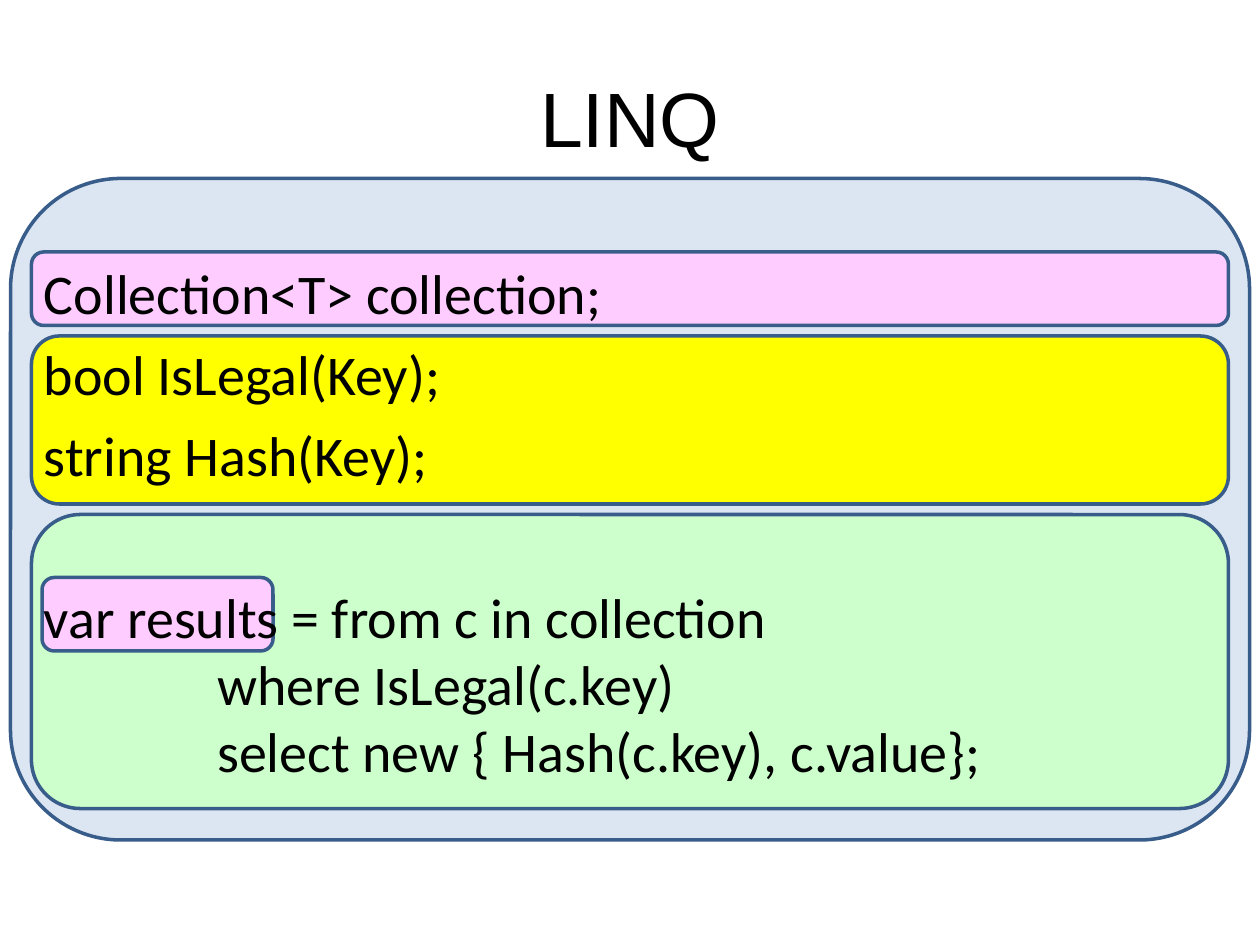
from dataclasses import dataclass

from lxml import etree
from pptx import Presentation
from pptx import util as u
from pptx.dml.color import RGBColor
from pptx.enum import shapes, text
from pptx.oxml import ns

PX = 7620


@dataclass(frozen=True)
class Theme:
    panel: str = "DCE6F2"
    data: str = "FFCCFF"
    functions: str = "FFFF00"
    query: str = "CCFFCC"
    outline: str = "385D8A"
    ink: str = "000000"
    title_font: str = "Arial"
    code_font: str = "Calibri"
    title_size: int = 44
    code_size: int = 32


class SlideBuilder:
    def __init__(self, slide, theme):
        self.slide = slide
        self.theme = theme

    def apply(self, target, **values):
        for name, value in values.items():
            setattr(target, name, value)

    def place(self, shape, left, top, width, height):
        self.apply(shape, left=left * PX, top=top * PX,
                   width=width * PX, height=height * PX)

    def style(self, paragraph, font, size):
        for run in paragraph.runs:
            self.apply(run.font, name=font, size=u.Pt(size))
            run.font.color.rgb = RGBColor.from_string(self.theme.ink)

    def title(self, wording, *box):
        shape = self.slide.shapes.title
        self.place(shape, *box)
        frame = shape.text_frame
        self.apply(frame, text=wording, vertical_anchor=text.MSO_ANCHOR.MIDDLE)
        paragraph = frame.paragraphs[0]
        paragraph.alignment = text.PP_ALIGN.CENTER
        self.style(paragraph, self.theme.title_font, self.theme.title_size)

    def panel(self, color, *box):
        shape = self.slide.shapes.add_shape(
            shapes.MSO_SHAPE.ROUNDED_RECTANGLE, *(value * PX for value in box))
        shape.shadow.inherit = False
        shape.fill.solid()
        shape.fill.fore_color.rgb = RGBColor.from_string(color)
        shape.line.color.rgb = RGBColor.from_string(self.theme.outline)
        shape.line.width = u.Pt(2)

    def code(self, statements, *box):
        shape = self.slide.shapes.add_textbox(*(value * PX for value in box))
        frame = shape.text_frame
        frame.word_wrap = True
        for index, (wording, space) in enumerate(statements):
            paragraph = frame.add_paragraph() if index else frame.paragraphs[0]
            self.apply(paragraph, text=wording, space_before=u.Pt(space))
            self.indent(paragraph)
            self.style(paragraph, self.theme.code_font, self.theme.code_size)

    def indent(self, paragraph):
        properties = paragraph._p.get_or_add_pPr()
        hanging = 45 * PX
        properties.set("marL", str(hanging))
        properties.set("indent", str(-hanging))
        tabs = etree.SubElement(properties, ns.qn("a:tabLst"))
        for inch in range(8):
            etree.SubElement(tabs, ns.qn("a:tab"),
                             pos=str(u.Inches(inch)), algn="l")


def main():
    presentation = Presentation()
    presentation.slide_width = 1200 * PX
    presentation.slide_height = 900 * PX
    theme = Theme()
    slide = presentation.slides.add_slide(presentation.slide_layouts[5])
    builder = SlideBuilder(slide, theme)

    builder.title("LINQ", 60, 36, 1080, 150)
    builder.panel(theme.panel, 10, 170, 1180, 630)
    for color, left, top, width, height in (
        (theme.query, 30, 490, 1140, 280),
        (theme.data, 40, 550, 220, 70),
        (theme.data, 30, 240, 1140, 70),
        (theme.functions, 30, 320, 1140, 160),
    ):
        builder.panel(color, left, top, width, height)

    query = "\v\t\t".join((
        "var results = from c in collection ",
        "where IsLegal(c.key) ",
        "select new { Hash(c.key), c.value};",
    ))
    builder.code((
        ("Collection<T> collection;", 0),
        ("bool IsLegal(Key);", 8),
        ("string Hash(Key);", 8),
        (query, 54),
    ), 30, 240, 1140, 594)
    presentation.save("out.pptx")


if __name__ == "__main__":
    main()
